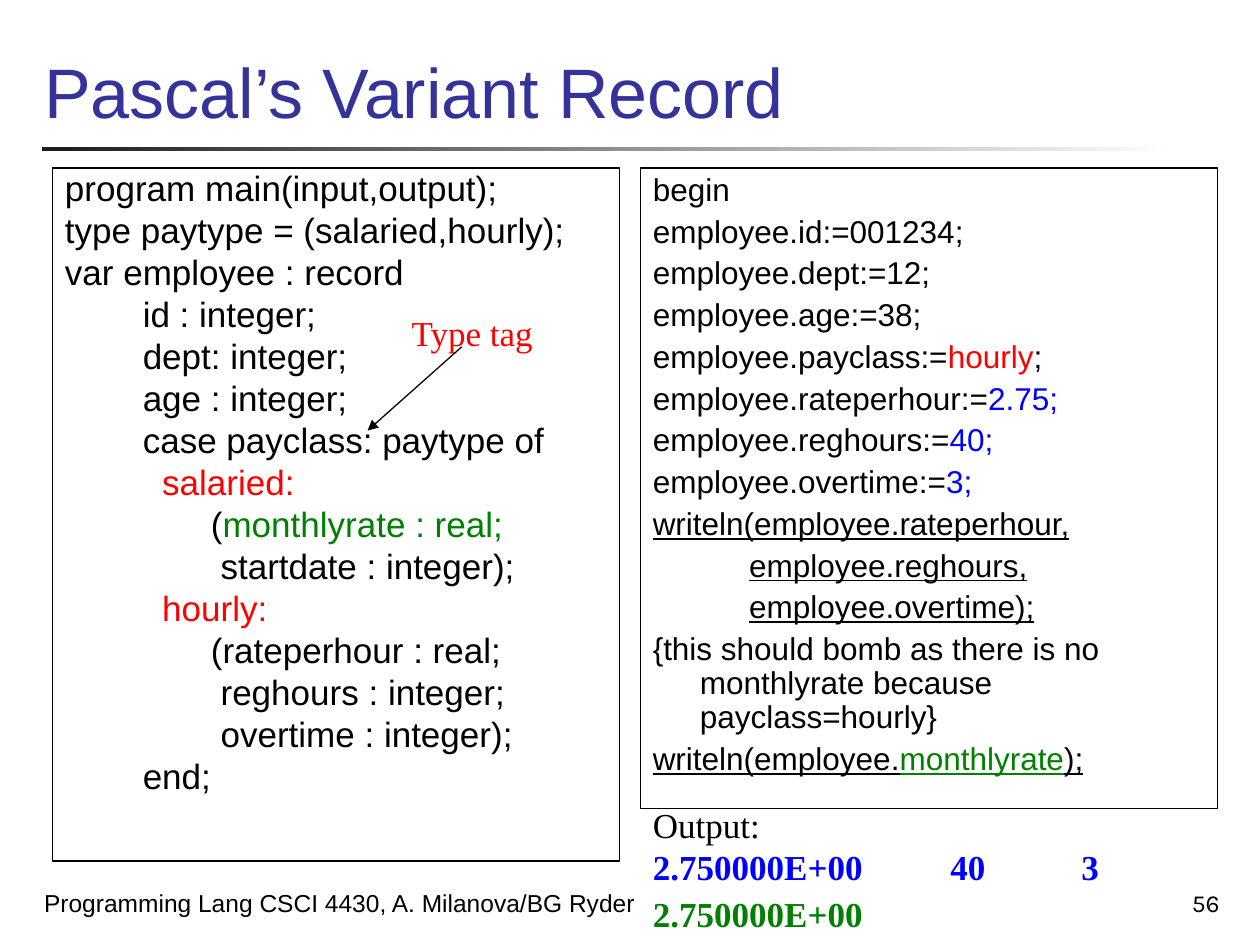
from dataclasses import dataclass

from lxml.etree import SubElement
from pptx import Presentation
from pptx.dml.color import RGBColor
from pptx.enum.shapes import MSO_CONNECTOR, MSO_SHAPE
from pptx.enum.text import MSO_ANCHOR, PP_ALIGN
from pptx.oxml.ns import qn
from pptx.util import Cm, Pt


@dataclass(frozen=True)
class Theme:
    black: str = "000000"
    white: str = "FFFFFF"
    rule: str = "1C1C1C"
    title: str = "333399"
    tag: str = "FF0000"
    field: str = "008000"
    value: str = "0000FF"
    sans: str = "Arial"
    serif: str = "Times New Roman"
    number_font: str = "Karla"
    title_size: int = 40
    large: int = 20
    medium: int = 18
    small: int = 14
    outline: float = 0.75


THEME = Theme()
HANGING = 0.95
SPACE_WIDTH = 0.278


def run(text, **style):
    return text, style


def write(paragraph, text, *, size, font=THEME.sans, color=THEME.black, bold=False, underline=False):
    piece = paragraph.add_run()
    piece.text = text
    piece.font.size = Pt(size)
    piece.font.name = font
    piece.font.color.rgb = RGBColor.from_string(color)
    piece.font.bold = bold
    piece.font.underline = underline


class SlideBuilder:
    def __init__(self, slide, theme):
        self.slide = slide
        self.theme = theme

    def rule(self, left, top, width, height):
        bar = self.slide.shapes.add_shape(
            MSO_SHAPE.RECTANGLE, Cm(left), Cm(top), Cm(width), Cm(height))
        bar.shadow.inherit = False
        bar.line.fill.background()
        bar.fill.gradient()
        bar.fill.gradient_angle = 0
        for stop, color in zip(bar.fill.gradient_stops, (self.theme.rule, self.theme.white)):
            stop.color.rgb = RGBColor.from_string(color)

    def label(self, lines, left, top, width, height, *, anchor=MSO_ANCHOR.TOP,
              align=PP_ALIGN.LEFT, wrap=True, tabs=(), **style):
        frame = self.slide.shapes.add_textbox(
            Cm(left), Cm(top), Cm(width), Cm(height)).text_frame
        frame.word_wrap = wrap
        frame.vertical_anchor = anchor
        for index, (text, extra) in enumerate(lines):
            paragraph = frame.add_paragraph() if index else frame.paragraphs[0]
            paragraph.alignment = align
            if "\t" in text:
                stops = SubElement(paragraph._p.get_or_add_pPr(), qn("a:tabLst"))
                for position in tabs:
                    SubElement(stops, qn("a:tab"), pos=str(Cm(position)), algn="l")
            write(paragraph, text, **{**style, **extra})

    def code(self, lines, left, top, width, height, *, size, spacing, before):
        panel = self.slide.shapes.add_shape(
            MSO_SHAPE.RECTANGLE, Cm(left), Cm(top), Cm(width), Cm(height))
        panel.shadow.inherit = False
        panel.fill.background()
        panel.line.color.rgb = RGBColor.from_string(self.theme.black)
        panel.line.width = Pt(self.theme.outline)
        frame = panel.text_frame
        frame.word_wrap = True
        frame.vertical_anchor = MSO_ANCHOR.TOP
        for index, (depth, *pieces) in enumerate(lines):
            paragraph = frame.add_paragraph() if index else frame.paragraphs[0]
            paragraph.alignment = PP_ALIGN.LEFT
            paragraph.line_spacing = spacing
            paragraph.space_before = Pt(before)
            properties = paragraph._p.get_or_add_pPr()
            offset = Pt(depth * SPACE_WIDTH * size)
            properties.set("marL", str(Cm(HANGING) + offset))
            properties.set("indent", str(-Cm(HANGING)))
            for text, style in pieces:
                write(paragraph, text, size=size, **style)

    def arrow(self, x1, y1, x2, y2):
        pointer = self.slide.shapes.add_connector(
            MSO_CONNECTOR.STRAIGHT, Cm(x1), Cm(y1), Cm(x2), Cm(y2))
        pointer.line.color.rgb = RGBColor.from_string(self.theme.black)
        pointer.line.width = Pt(self.theme.outline)
        SubElement(pointer.line._get_or_add_ln(), qn("a:tailEnd"), type="triangle")
        SubElement(pointer._element.spPr, qn("a:effectLst"))


DECLARATION = [
    (0, run("program main(input,output);")),
    (0, run("type paytype = (salaried,hourly);")),
    (0, run("var employee : record")),
    (8, run("id : integer;")),
    (8, run("dept: integer;")),
    (8, run("age : integer;")),
    (8, run("case payclass: paytype of")),
    (10, run("salaried:", color=THEME.tag)),
    (15, run("("), run("monthlyrate : real;", color=THEME.field)),
    (16, run("startdate : integer);")),
    (10, run("hourly:", color=THEME.tag)),
    (15, run("(rateperhour : real;")),
    (16, run("reghours : integer;")),
    (16, run("overtime : integer);")),
    (8, run("end;")),
]

STATEMENTS = [
    (0, run("begin")),
    (0, run("employee.id:=001234;")),
    (0, run("employee.dept:=12;")),
    (0, run("employee.age:=38;")),
    (0, run("employee.payclass:="), run("hourly", color=THEME.tag), run(";")),
    (0, run("employee.rateperhour:="), run("2.75;", color=THEME.value)),
    (0, run("employee.reghours:="), run("40;", color=THEME.value)),
    (0, run("employee.overtime:="), run("3;", color=THEME.value)),
    (0, run("writeln(employee.rateperhour,", underline=True)),
    (11, run("employee.reghours,", underline=True)),
    (11, run("employee.overtime);", underline=True)),
    (0, run("{this should bomb as there is no monthlyrate because payclass=hourly}")),
    (0, run("writeln(employee.", underline=True),
     run("monthlyrate", color=THEME.field, underline=True), run(");", underline=True)),
]


def main():
    presentation = Presentation()
    presentation.slide_width = Cm(25.4)
    presentation.slide_height = Cm(19.05)
    builder = SlideBuilder(presentation.slides.add_slide(presentation.slide_layouts[6]), THEME)

    builder.rule(0.85, 2.97, 22.86, 0.08)
    builder.label([run("Programming Lang CSCI 4430, A. Milanova/BG Ryder")],
                  0.64, 17.35, 13.13, 1.27, anchor=MSO_ANCHOR.BOTTOM, size=THEME.small)
    builder.label([run("56")], 19.56, 17.35, 5.28, 1.27, anchor=MSO_ANCHOR.BOTTOM,
                  align=PP_ALIGN.RIGHT, size=THEME.small, font=THEME.number_font)
    builder.label([run("Pascal’s Variant Record")], 0.64, 0, 24.18, 2.79,
                  anchor=MSO_ANCHOR.BOTTOM, size=THEME.title_size, color=THEME.title)

    builder.code(DECLARATION, 1.06, 3.39, 11.43, 13.97,
                 size=THEME.large, spacing=0.8, before=4.8)
    builder.code(STATEMENTS, 12.91, 3.39, 11.64, 12.91,
                 size=THEME.medium, spacing=0.9, before=4.4)

    output_style = dict(wrap=False, size=THEME.large, font=THEME.serif)
    builder.label([run("Type tag")], 8.05, 6.15, 3, 1.09, color=THEME.tag, **output_style)
    builder.arrow(9.31, 6.99, 7.41, 8.68)
    builder.label([run("Output:"),
                   run("2.750000E+00\t40\t3", color=THEME.value, bold=True)],
                  12.91, 16.08, 9.58, 1.96, tabs=(6, 8.64), **output_style)
    builder.label([run("2.750000E+00")], 12.91, 17.86, 4.78, 1.12,
                  color=THEME.field, bold=True, **output_style)

    presentation.save("out.pptx")


if __name__ == "__main__":
    main()
